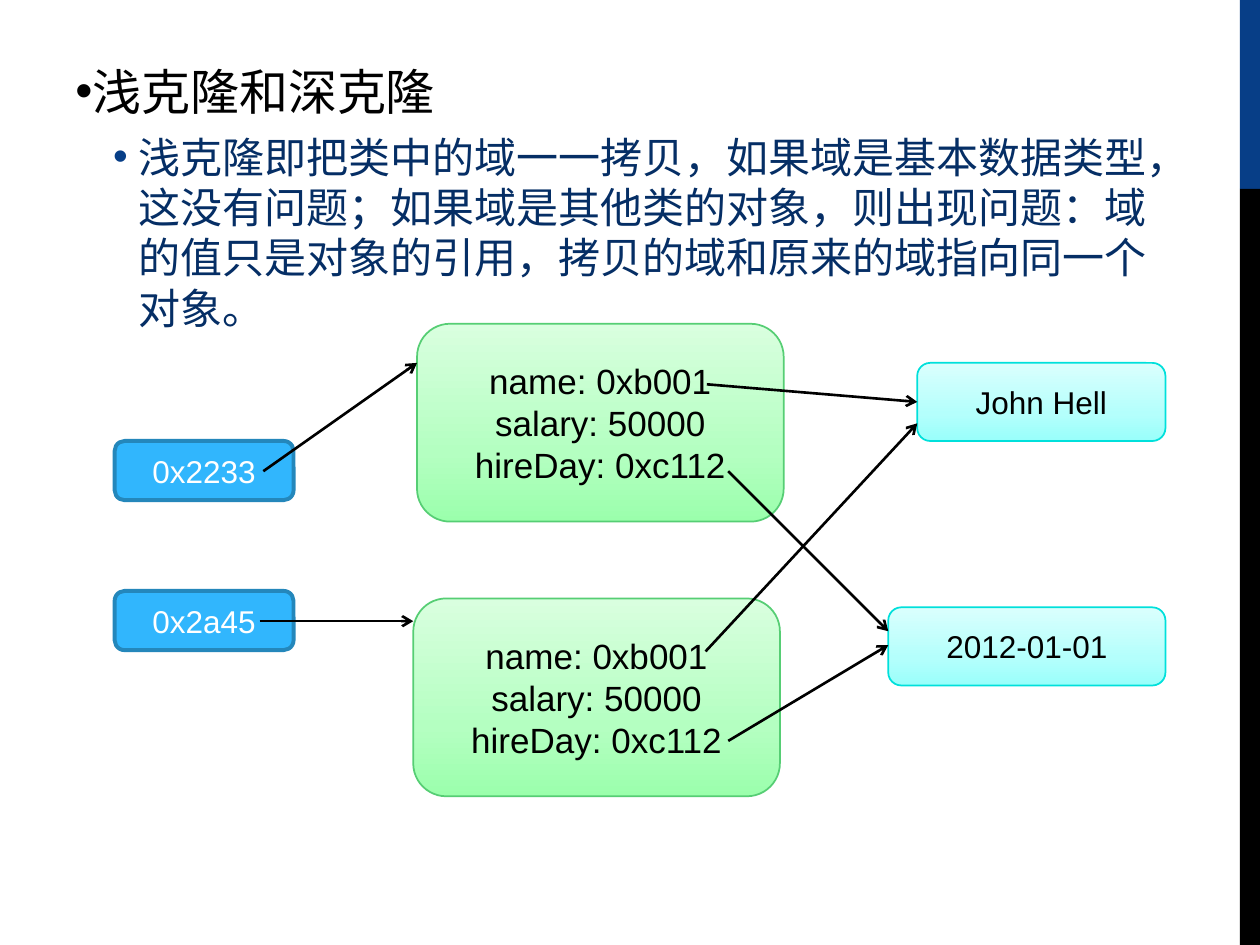
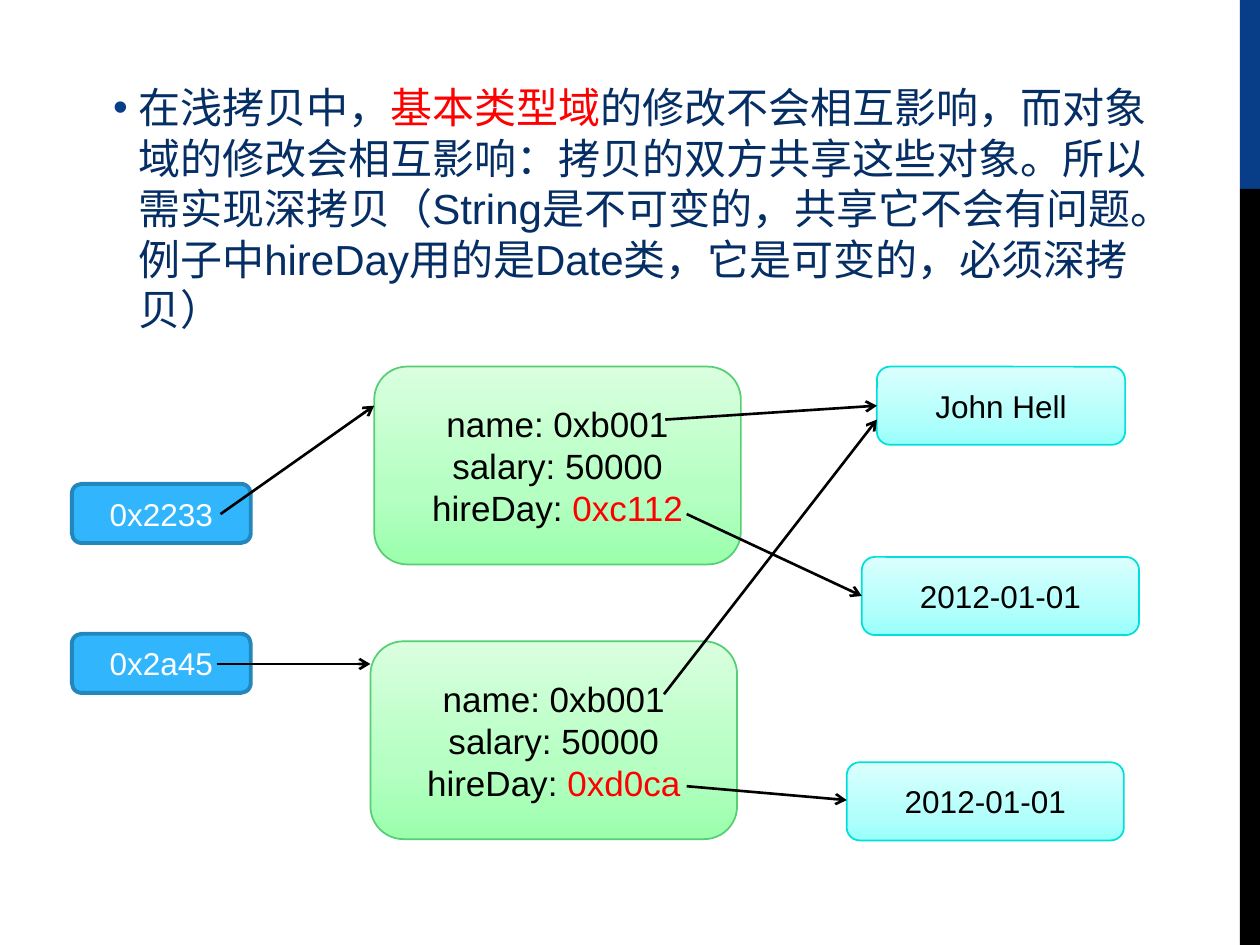
import copy
from dataclasses import dataclass

import pptx
import pptx.dml.color
import pptx.enum.dml
import pptx.enum.shapes
import pptx.enum.text
import pptx.oxml
import pptx.oxml.ns
import pptx.util

Inches = pptx.util.Inches


@dataclass(frozen=True)
class Theme:
    font: str = "Arial"
    black: str = "000000"
    white: str = "FFFFFF"
    red: str = "FF0000"
    blue: str = "073E87"
    body: str = "052E65"
    pointer_fill: str = "31B6FD"
    pointer_line: str = "2487BB"
    object_fill: tuple = ("9BFFAC", "B4FFC1", "D9FFDF")
    object_line: str = "56CE74"
    value_fill: tuple = ("99FFFB", "B4FFFC", "DAFFFD")
    value_line: str = "00E0DB"
    heading_size: int = 28
    body_size: int = 24
    object_size: int = 20
    label_size: int = 18


THEME = Theme()

# Content: a paragraph is a list of runs, a run is text or (text, colour)
POINTERS = ["0x2233", "0x2a45"]
FIELDS = [["name: 0xb001"], ["salary: 50000"]]
SLIDES = [
    {
        "body_box": (0.5, 0.44, 8.83, 6.61),
        "heading": "浅克隆和深克隆",
        "body": ["浅克隆即把类中的域一一拷贝，如果域是基本数据类型，这没有问题；"
                 "如果域是其他类的对象，则出现问题：域的值只是对象的引用，"
                 "拷贝的域和原来的域指向同一个对象。"],
        "origin": (0.91, 2.57),
        "hire_days": [["hireDay: 0xc112"], ["hireDay: 0xc112"]],
        "values": [("John Hell", 7.28, 2.88, 1.97), ("2012-01-01", 7.05, 4.82, 2.2)],
        "references": [((5.61, 3.05), (7.28, 3.19)), ((5.6, 5.17), (7.28, 3.36)),
                       ((5.78, 3.74), (7.05, 5.01)), ((5.78, 5.88), (7.05, 5.12))],
    },
    {
        "body_box": (0.5, 0.6, 8.83, 6.22),
        "heading": None,
        "body": ["在浅拷贝中，", ("基本类型域", THEME.red),
                 "的修改不会相互影响，而对象域的修改会相互影响：拷贝的双方共享这些对象。"
                 "所以需实现深拷贝（String是不可变的，共享它不会有问题。"
                 "例子中hireDay用的是Date类，它是可变的，必须深拷贝）"],
        "origin": (0.57, 2.91),
        "hire_days": [["hireDay: ", ("0xc112", THEME.red)],
                      ["hireDay: ", ("0xd0ca", THEME.red)]],
        "values": [("John Hell", 6.96, 2.91, 1.97), ("2012-01-01", 6.84, 4.42, 2.2),
                   ("2012-01-01", 6.72, 6.05, 2.2)],
        "references": [((5.28, 3.33), (6.96, 3.22)), ((5.27, 5.51), (6.96, 3.33)),
                       ((5.45, 4.08), (6.84, 4.73)), ((5.45, 6.24), (6.72, 6.35))],
    },
]

# Diagram layout, measured from each slide's origin
POINTER_TOPS = (0.93, 2.12)
POINTER_SIZE = (1.42, 0.47)
OBJECT_PLACES = ((2.4, 0), (2.37, 2.18))
OBJECT_SIZE = (2.91, 1.57)
POINTER_ARROWS = (((1.18, 1.17), (2.4, 0.31)), ((1.15, 2.36), (2.37, 2.36)))
VALUE_HEIGHT = 0.62


def rgb(colour):
    return pptx.dml.color.RGBColor.from_string(colour)


def element(xml):
    return pptx.oxml.parse_xml(xml.replace("/>", f' {pptx.oxml.ns.nsdecls("a")}/>', 1))


def write_paragraph(paragraph, runs, size, colour, align=None, bullet=None,
                    left=0, hanging=0, space_before=0):
    properties = paragraph._p.get_or_add_pPr()
    if bullet:
        properties.set("marL", str(Inches(left)))
        properties.set("indent", str(-Inches(hanging)))
        tint = element("<a:buClr/>")
        tint.append(element(f'<a:srgbClr val="{bullet}"/>'))
        properties.append(tint)
        properties.append(element('<a:buFont typeface="Arial"/>'))
        properties.append(element('<a:buChar char="•"/>'))
    paragraph.alignment = align
    paragraph.space_before = pptx.util.Pt(space_before)
    for item in runs:
        text, run_colour = (item, colour) if isinstance(item, str) else item
        run = paragraph.add_run()
        run.text = text
        run.font.name = THEME.font
        run.font.size = pptx.util.Pt(size)
        run.font.color.rgb = rgb(run_colour)


def add_paragraph(frame):
    first = frame.paragraphs[0]
    return frame.add_paragraph() if first.runs else first


def fill_gradient(shape, colours):
    """Run three colours from the bottom edge to the top."""
    shape.fill.gradient()
    shape.fill.gradient_angle = 90
    stop_list = shape._element.spPr.find(".//" + pptx.oxml.ns.qn("a:gsLst"))
    stop_list.insert(1, copy.deepcopy(stop_list[0]))
    for stop, colour, position in zip(shape.fill.gradient_stops, colours, (0, 0.35, 1)):
        stop.color.rgb = rgb(colour)
        stop.position = position


def add_box(slide, box, fill, line=None, width=1, paragraphs=(), size=THEME.label_size,
            colour=THEME.black):
    kinds = pptx.enum.shapes.MSO_SHAPE
    kind = kinds.ROUNDED_RECTANGLE if line else kinds.RECTANGLE
    shape = slide.shapes.add_shape(kind, *map(Inches, box))
    shape.shadow.inherit = False
    if isinstance(fill, tuple):
        fill_gradient(shape, fill)
    else:
        shape.fill.solid()
        shape.fill.fore_color.rgb = rgb(fill)
    if line:
        shape.line.color.rgb = rgb(line)
        shape.line.width = pptx.util.Pt(width)
    else:
        shape.line.fill.background()
    frame = shape.text_frame
    frame.vertical_anchor = pptx.enum.text.MSO_ANCHOR.MIDDLE
    for runs in paragraphs:
        write_paragraph(add_paragraph(frame), runs, size, colour,
                        align=pptx.enum.text.PP_ALIGN.CENTER)


def add_arrow(slide, start, end):
    connector = slide.shapes.add_connector(
        pptx.enum.shapes.MSO_CONNECTOR.STRAIGHT, *map(Inches, start + end))
    connector.line.color.rgb = rgb(THEME.black)
    connector.line.width = pptx.util.Pt(1.5)
    connector.line._get_or_add_ln().append(element('<a:tailEnd type="arrow"/>'))
    connector._element.spPr.append(element("<a:effectLst/>"))


def add_side_band(slide):
    add_box(slide, (9.84, 0, 0.16, 1.5), THEME.blue)
    add_box(slide, (9.84, 1.5, 0.16, 6), THEME.black)


def add_body(slide, content):
    frame = slide.shapes.add_textbox(*map(Inches, content["body_box"])).text_frame
    frame.word_wrap = True
    if content["heading"]:
        write_paragraph(add_paragraph(frame), [content["heading"]], THEME.heading_size,
                        THEME.black, bullet=THEME.black)
    write_paragraph(add_paragraph(frame), content["body"], THEME.body_size, THEME.body,
                    bullet=THEME.blue, left=0.5, hanging=0.2,
                    space_before=6 if content["heading"] else 0)


def add_diagram(slide, content):
    def place(point):
        return tuple(base + offset for base, offset in zip(content["origin"], point))

    # Variables holding addresses
    for address, top in zip(POINTERS, POINTER_TOPS):
        add_box(slide, place((0, top)) + POINTER_SIZE, THEME.pointer_fill,
                THEME.pointer_line, 2.25, [[address]], colour=THEME.white)
    # Objects and their fields
    for point, hire_day in zip(OBJECT_PLACES, content["hire_days"]):
        add_box(slide, place(point) + OBJECT_SIZE, THEME.object_fill, THEME.object_line,
                paragraphs=FIELDS + [hire_day], size=THEME.object_size)
    # Referenced values
    for text, left, top, width in content["values"]:
        add_box(slide, (left, top, width, VALUE_HEIGHT), THEME.value_fill,
                THEME.value_line, paragraphs=[[text]])
    # Arrows from variables to objects, then from fields to values
    for start, end in POINTER_ARROWS:
        add_arrow(slide, place(start), place(end))
    for start, end in content["references"]:
        add_arrow(slide, start, end)


def main():
    presentation = pptx.Presentation()
    presentation.slide_width = Inches(10)
    presentation.slide_height = Inches(7.5)
    for content in SLIDES:
        slide = presentation.slides.add_slide(presentation.slide_layouts[6])
        add_side_band(slide)
        add_body(slide, content)
        add_diagram(slide, content)
    presentation.save("out.pptx")


if __name__ == "__main__":
    main()
